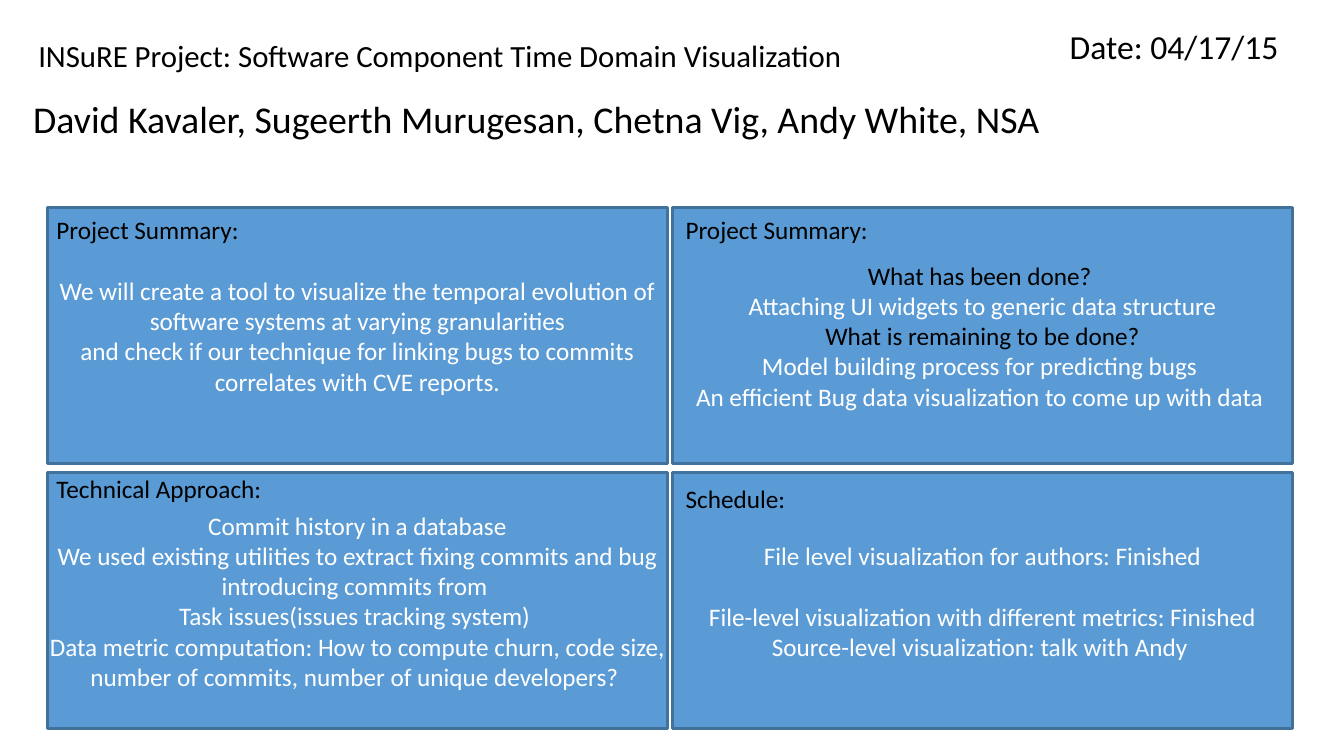
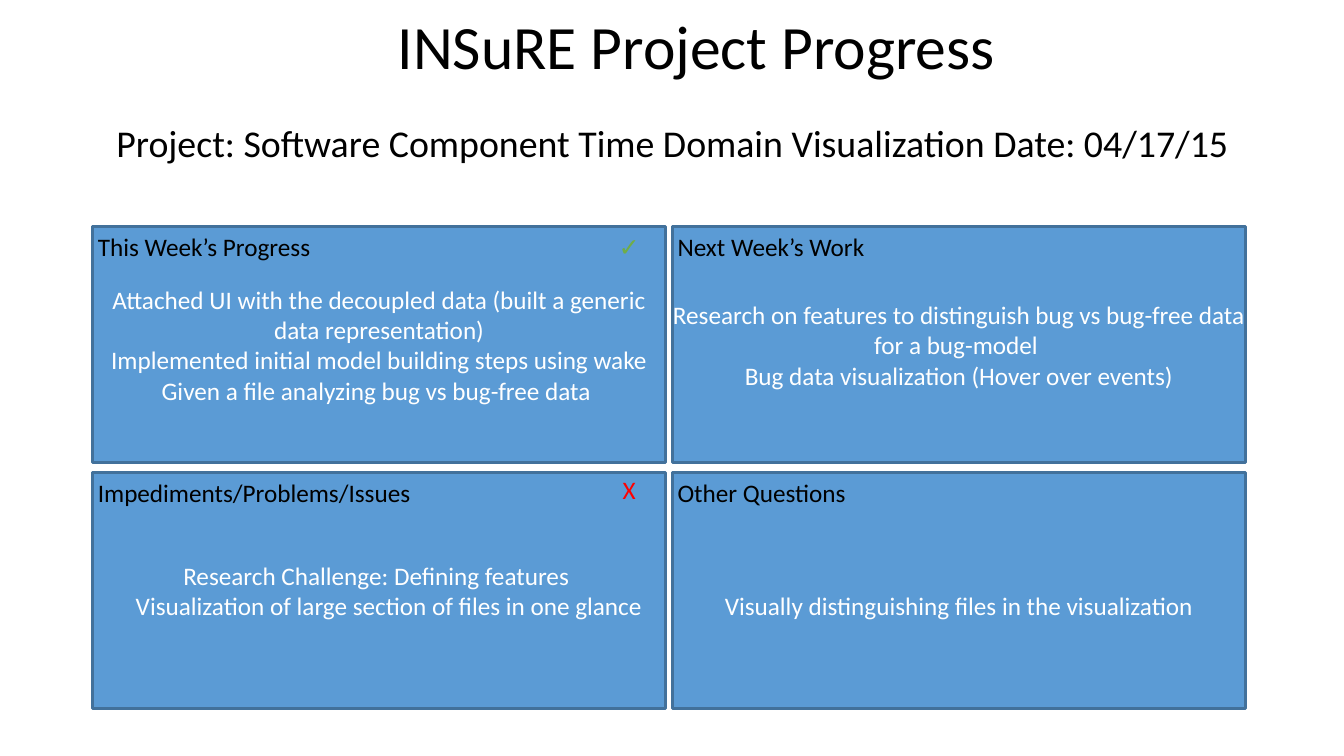
from dataclasses import dataclass

from pptx import Presentation
from pptx import util as u
from pptx.dml import color
from pptx.enum import shapes, text

PX = 9144


@dataclass(frozen=True)
class Theme:
    """Colours, type sizes and insets shared by the slides."""

    font: str = "Calibri"
    ink: str = "000000"
    light: str = "FFFFFF"
    panel: str = "5B9BD5"
    border: str = "42719B"
    done: str = "70AD47"
    blocked: str = "FF0000"
    title: int = 44
    subtitle: int = 27
    date: int = 24
    project: int = 22
    body: int = 18
    inset: int = 5


@dataclass(frozen=True)
class Line:
    """One paragraph of panel text."""

    words: str
    color: str = Theme.light
    indent: int = 0
    space_after: int = 0


@dataclass(frozen=True)
class Panel:
    """A quadrant with its heading, the heading's offset and its text."""

    heading: str
    offset: tuple
    lines: tuple
    top_inset: int = 0


@dataclass(frozen=True)
class Grid:
    """A two-by-two arrangement of equal panels."""

    left: int
    top: int
    width: int
    height: int
    column_gap: int
    row_gap: int

    def box(self, index):
        """Return the box of a panel, counted row by row."""
        row, column = divmod(index, 2)
        return (self.left + column * (self.width + self.column_gap),
                self.top + row * (self.height + self.row_gap),
                self.width, self.height)


THEME = Theme()
LEFT, CENTER = text.PP_ALIGN.LEFT, text.PP_ALIGN.CENTER
TOP, MIDDLE = text.MSO_ANCHOR.TOP, text.MSO_ANCHOR.MIDDLE
HEADING_SIZE = (568, 39)

SUMMARY_GRID = Grid(47, 206, 615, 254, 5, 9)
SUMMARY_PANELS = (
    Panel("Project Summary:", (4, 2), (
        Line("We will create a tool to visualize the temporal evolution of "
             "software systems at varying granularities"),
        Line("and check if our technique for linking bugs to commits "
             "correlates with CVE reports."))),
    Panel("Project Summary:", (8, 2), (
        Line("What has been done? ", THEME.ink),
        Line("Attaching UI widgets to generic data structure"),
        Line("What is remaining to be done?", THEME.ink),
        Line("Model building process for predicting bugs "),
        Line("An efficient Bug data visualization to come up with data "))),
    Panel("Technical Approach:", (4, -4), (
        Line("Commit history in a database"),
        Line("We used existing utilities to extract fixing commits and bug "
             "introducing commits from "),
        Line("Task issues(issues tracking system) "),
        Line("Data metric computation: How to compute churn, code size, "
             "number of commits, number of unique developers? "))),
    Panel("Schedule:", (8, 6), (
        Line("File level visualization for authors: Finished", space_after=22),
        Line("File-level visualization with different metrics: Finished"),
        Line("Source-level visualization: talk with Andy "))),
)

PROGRESS_GRID = Grid(92, 225, 568, 234, 7, 10)
PROGRESS_PANELS = (
    Panel("This Week’s Progress", (0, 0), (
        Line("Attached UI with the decoupled data (built a generic data "
             "representation)"),
        Line("Implemented initial model building steps using wake"),
        Line("Given a file analyzing bug vs bug-free data "))),
    Panel("Next Week’s Work", (0, 0), (
        Line("Research on features to distinguish bug vs bug-free data for a "
             "bug-model "),
        Line("Bug data visualization (Hover over events)"))),
    Panel("Impediments/Problems/Issues", (0, 0), (
        Line("Research Challenge: Defining features "),
        Line("Visualization of large section of files in one glance ",
             indent=25))),
    Panel("Other Questions", (0, 0), (
        Line("Visually distinguishing files in the visualization"),),
        top_inset=30),
)


def px(*lengths):
    """Turn pixel lengths into EMU."""
    return [u.Emu(length * PX) for length in lengths]


def rgb(value):
    """Return a colour object for a hex string."""
    return color.RGBColor.from_string(value)


def set_frame(frame, inset, anchor):
    """Set wrapping, equal insets and the vertical anchor."""
    frame.word_wrap = True
    frame.vertical_anchor = anchor
    (frame.margin_left, frame.margin_top,
     frame.margin_right, frame.margin_bottom) = px(*[inset] * 4)


def style_paragraph(paragraph, size, fill, align):
    """Format a paragraph and its runs."""
    paragraph.alignment = align
    for run in paragraph.runs:
        run.font.name = THEME.font
        run.font.size = u.Pt(size)
        run.font.color.rgb = rgb(fill)


def add_label(slide, box, words, size, fill=THEME.ink, align=LEFT,
              anchor=TOP, inset=THEME.inset, spacing=1.0):
    """Add a one-paragraph text box."""
    frame = slide.shapes.add_textbox(*px(*box)).text_frame
    set_frame(frame, inset, anchor)
    frame.text = words
    paragraph = frame.paragraphs[0]
    paragraph.line_spacing = spacing
    style_paragraph(paragraph, size, fill, align)


def add_title(slide, box, words, size, align=LEFT, inset=THEME.inset):
    """Add a vertically centred title line with tight spacing."""
    add_label(slide, box, words, size, align=align, anchor=MIDDLE,
              inset=inset, spacing=0.9)


def add_panel(slide, box, panel):
    """Add a filled quadrant with centred text and its heading."""
    shape = slide.shapes.add_shape(shapes.MSO_SHAPE.RECTANGLE, *px(*box))
    shape.shadow.inherit = False
    shape.fill.solid()
    shape.fill.fore_color.rgb = rgb(THEME.panel)
    shape.line.color.rgb = rgb(THEME.border)
    shape.line.width = u.Pt(2)
    frame = shape.text_frame
    set_frame(frame, 0, MIDDLE)
    frame.margin_top = px(panel.top_inset)[0]
    frame.text = "\n".join(line.words for line in panel.lines)
    for paragraph, line in zip(frame.paragraphs, panel.lines):
        style_paragraph(paragraph, THEME.body, line.color, CENTER)
        paragraph.space_after = u.Pt(line.space_after)
        if line.indent:
            properties = paragraph._p.get_or_add_pPr()
            properties.set("marL", str(line.indent * PX))
    left, top = box[0] + panel.offset[0], box[1] + panel.offset[1]
    add_label(slide, (left, top, *HEADING_SIZE), panel.heading, THEME.body)


def add_panels(slide, grid, panels):
    """Place the panels on their grid."""
    for index, panel in enumerate(panels):
        add_panel(slide, grid.box(index), panel)


def build_summary(slide):
    """Build the project overview slide."""
    add_title(slide, (33, 17, 903, 80),
              "INSuRE Project: Software Component Time Domain Visualization",
              THEME.project)
    add_title(slide, (33, 90, 1150, 60),
              "David Kavaler, Sugeerth Murugesan, Chetna Vig, Andy White, NSA",
              THEME.subtitle, inset=0)
    add_label(slide, (1056, 21, 269, 50), "Date: 04/17/15", THEME.date)
    add_panels(slide, SUMMARY_GRID, SUMMARY_PANELS)


def build_progress(slide):
    """Build the weekly progress slide."""
    add_title(slide, (116, -23, 1150, 145), "INSuRE Project Progress",
              THEME.title, CENTER)
    add_title(slide, (104, 96, 1126, 96),
              "Project: Software Component Time Domain Visualization "
              "Date: 04/17/15", THEME.subtitle, CENTER, inset=0)
    add_panels(slide, PROGRESS_GRID, PROGRESS_PANELS)
    for mark, top, fill in (("✓", 225, THEME.done), ("X", 466, THEME.blocked)):
        add_label(slide, (588, top, 72, 39), mark, THEME.body, fill, CENTER)


def main():
    """Build and save the presentation."""
    presentation = Presentation()
    presentation.slide_width, presentation.slide_height = px(1333, 750)
    for build in (build_summary, build_progress):
        build(presentation.slides.add_slide(presentation.slide_layouts[6]))
    presentation.save("out.pptx")


if __name__ == "__main__":
    main()
